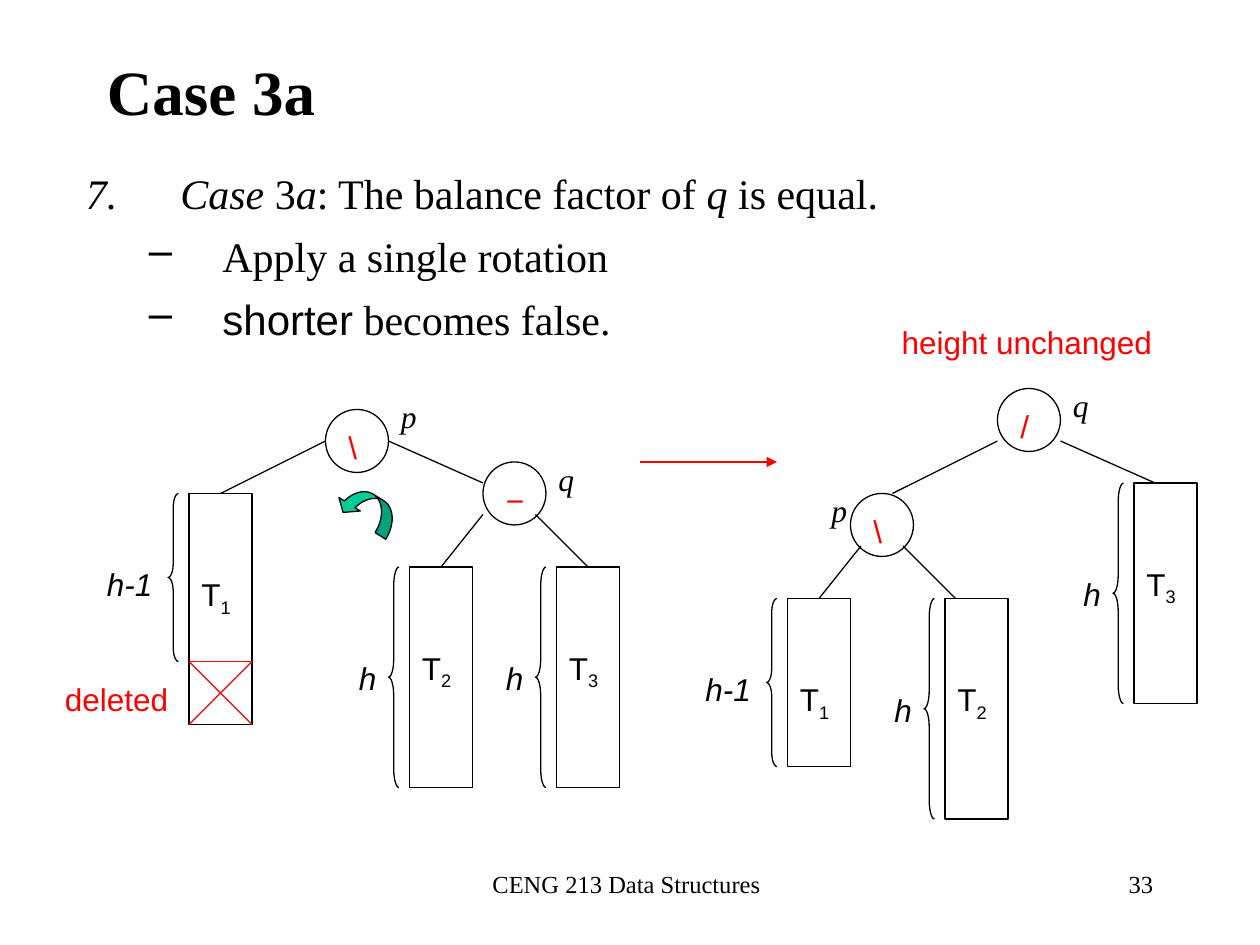
from lxml import etree
from pptx import Presentation
from pptx.dml.color import RGBColor
from pptx.enum import shapes as s, text as t
from pptx.oxml.ns import qn
from pptx.util import Pt

BLACK = RGBColor(0, 0, 0)
RED = RGBColor(0xFF, 0, 0)
GREEN = RGBColor(0, 0xCC, 0x99)
SERIF, SANS = "Times New Roman", "Arial"
SIDE = 36  # width of nodes and subtrees
SHAPE = s.MSO_SHAPE


def add_run(para, words, size=18, font=SANS, color=BLACK, bold=False,
            italic=False, sub=False):
    run = para.add_run()
    run.text = words
    f = run.font
    f.size, f.name, f.bold, f.italic = Pt(size), font, bold, italic
    f.color.rgb = color
    if sub:
        f._element.set("baseline", "-25000")


def add_text(slide, words, x, y, w, h, align="LEFT", mid=False, left=7.2,
             top=4.6, sub="", **form):
    """Add a text box; sub is a trailing subscript."""
    frame = slide.shapes.add_textbox(Pt(x), Pt(y), Pt(w), Pt(h)).text_frame
    frame.word_wrap = True
    frame.margin_left, frame.margin_top = Pt(left), Pt(top)
    if mid:
        frame.vertical_anchor = t.MSO_ANCHOR.MIDDLE
    para = frame.paragraphs[0]
    para.alignment = getattr(t.PP_ALIGN, align)
    if words:
        add_run(para, words, **form)
    if sub:
        add_run(para, sub, sub=True, **form)
    return frame


def add_line(slide, x1, y1, x2, y2, color=BLACK, head=False):
    line = slide.shapes.add_connector(
        s.MSO_CONNECTOR.STRAIGHT, Pt(x1), Pt(y1), Pt(x2), Pt(y2))
    line.line.color.rgb, line.line.width = color, Pt(0.75)
    if head:
        etree.SubElement(line.line._get_or_add_ln(), qn("a:tailEnd"),
                         type="triangle")
    etree.SubElement(line._element.spPr, qn("a:effectLst"))


def add_shape(slide, kind, x, y, w, h, fill=None):
    shape = slide.shapes.add_shape(kind, Pt(x), Pt(y), Pt(w), Pt(h))
    shape.shadow.inherit = False
    if fill is None:
        shape.fill.background()
    else:
        shape.fill.solid()
        shape.fill.fore_color.rgb = fill
    shape.line.color.rgb, shape.line.width = BLACK, Pt(0.75)
    return shape


def add_node(slide, x, y, sign, name, dx=36, dy=-6):
    """Circle with its balance sign and its name at an offset."""
    add_shape(slide, SHAPE.OVAL, x, y, SIDE, SIDE)
    add_text(slide, sign, x + 6, y + 6, 30, 29, color=RED)
    add_text(slide, name, x + dx, y + dy, 42, 29, font=SERIF, italic=True)


def add_sub(slide, x, y, num, short=False, extra=0):
    """Subtree box with a brace for its height; extra extends the box."""
    tall = 96 if short else 126
    add_shape(slide, SHAPE.RECTANGLE, x, y, SIDE, tall + extra)
    add_text(slide, "T", x, y + 42, SIDE, 32, sub=num)
    brace = add_shape(slide, SHAPE.LEFT_BRACE, x - 12, y, 6, tall)
    brace.adjustments[0] = tall / 72
    if short:
        add_text(slide, "h-1", x - 54, y + 36, 66, 29, italic=True)
    else:
        add_text(slide, "h", x - 36, y + 48, 36, 29, italic=True)


def add_edges(slide, x, y, edges):
    for x1, y1, x2, y2 in edges:
        add_line(slide, x + x1, y + y1, x + x2, y + y2)


def add_before(slide, x, y):
    add_node(slide, x + 156, y + 12, "\\", "p", dy=-12)
    add_node(slide, x + 246, y + 42, "−", "q")
    add_sub(slide, x + 78, y + 60, "1", short=True, extra=36)
    add_sub(slide, x + 204, y + 102, "2")
    add_sub(slide, x + 288, y + 102, "3")
    add_edges(slide, x, y, [(156, 30, 96, 60), (192, 30, 246, 54),
                            (246, 72, 222, 102), (276, 72, 306, 102)])
    # Deleted part of T1
    left, top = x + 78, y + 156
    right, base = left + SIDE, top + SIDE
    add_line(slide, left, top, right, top, RED)
    add_line(slide, left, top, right, base, RED)
    add_line(slide, right, top, left, base, RED)
    add_text(slide, "deleted", x, y + 162, 84, 29, color=RED)
    # Rotation arrow
    turn = add_shape(slide, SHAPE.CURVED_LEFT_ARROW, x + 171, y + 51, 18, 36,
                     GREEN)
    for i, value in enumerate((0.4, 0.8, 0.33)):
        turn.adjustments[i] = value
    turn.rotation = 302.2
    turn._element.spPr.xfrm.set("flipV", "1")


def add_after(slide, x, y):
    add_node(slide, x + 174, y + 42, "/", "q")
    add_node(slide, x + 90, y + 102, "\\", "p", dx=-18)
    add_sub(slide, x + 54, y + 162, "1", short=True)
    add_sub(slide, x + 144, y + 162, "2")
    add_sub(slide, x + 252, y + 96, "3")
    add_edges(slide, x, y, [(174, 72, 114, 102), (210, 72, 264, 96),
                            (96, 132, 72, 162), (120, 132, 150, 162)])
    add_text(slide, "height unchanged", x + 102, y, 204, 62, left=17.2,
             color=RED)


def add_body(slide, x, y, w, h):
    frame = add_text(slide, "", x, y, w, h, top=6)
    number = ("buAutoNum", {"type": "arabicPeriod", "startAt": "7"})
    dash = ("buChar", {"char": "–"})
    # Bullet, left margin, hanging indent, runs
    rows = [
        (number, 54, 54, [("Case", {"italic": True}), (" 3", {}),
                          ("a", {"italic": True}),
                          (": The balance factor of ", {}),
                          ("q", {"italic": True}), (" is equal.", {})]),
        (dash, 78, 42, [("Apply a single rotation", {})]),
        (dash, 78, 42, [("shorter", {"font": SANS}),
                        (" becomes false.", {})]),
    ]
    for i, ((tag, attrs), left, hang, runs) in enumerate(rows):
        para = frame.add_paragraph() if i else frame.paragraphs[0]
        if i:
            para.level, para.space_before = 1, Pt(7)
        props = para._p.get_or_add_pPr()
        props.set("marL", str(Pt(left)))
        props.set("indent", str(-Pt(hang)))
        etree.SubElement(props, qn("a:" + tag), attrs)
        for words, form in runs:
            add_run(para, words, **{"size": 24, "font": SERIF, **form})


def add_foot(slide, y):
    add_text(slide, "CENG 213 Data Structures", 244, y, 228, 36,
             align="CENTER", size=14, font=SERIF)
    add_text(slide, "33", 516, y, 150, 36, align="RIGHT", size=14, font=SERIF)


def main():
    deck = Presentation()
    deck.slide_width, deck.slide_height = Pt(720), Pt(540)
    slide = deck.slides.add_slide(deck.slide_layouts[6])
    add_foot(slide, 492)
    add_text(slide, "Case 3a", 54, 32, 612, 35, mid=True, top=8, size=36,
             font=SERIF, bold=True)
    add_body(slide, 42, 90, 648, 108)
    add_before(slide, 30, 222)
    add_line(slide, 366, 264, 444, 264, RED, head=True)
    add_after(slide, 396, 180)
    deck.save("out.pptx")


if __name__ == "__main__":
    main()
